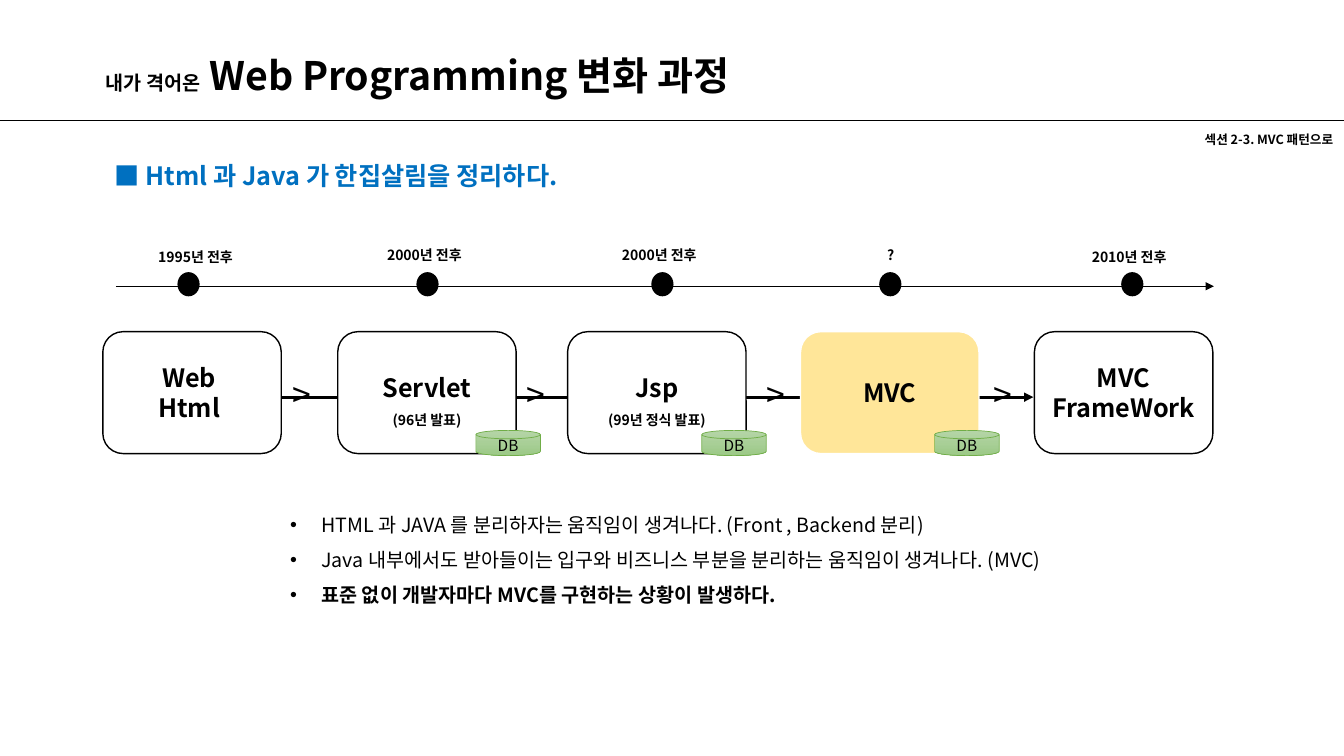
from lxml import etree
from pptx import Presentation
from pptx.dml.color import RGBColor
from pptx.enum.shapes import MSO_CONNECTOR, MSO_SHAPE
from pptx.enum.text import MSO_ANCHOR, MSO_AUTO_SIZE, PP_ALIGN
from pptx.oxml.ns import qn
from pptx.util import Inches, Pt

STRAIGHT = MSO_CONNECTOR.STRAIGHT
ROUND = MSO_SHAPE.ROUNDED_RECTANGLE
RECT = MSO_SHAPE.RECTANGLE
OVAL = MSO_SHAPE.OVAL
DISK = MSO_SHAPE.FLOWCHART_MAGNETIC_DISK
MIDDLE = MSO_ANCHOR.MIDDLE
GROW = MSO_AUTO_SIZE.SHAPE_TO_FIT_TEXT
CENTER, RIGHT = PP_ALIGN.CENTER, PP_ALIGN.RIGHT

BLACK = RGBColor(0, 0, 0)
WHITE = RGBColor(255, 255, 255)
BLUE = RGBColor(0x00, 0x70, 0xC0)
YELLOW = RGBColor(0xFF, 0xE6, 0x99)
GREEN = RGBColor(0x70, 0xAD, 0x47)
LIGHT = RGBColor(0xB5, 0xD5, 0xA7)
DARK = RGBColor(0x9C, 0xC9, 0x87)

FONT = "Noto Sans CJK KR"
BOX_TOP, BOX_W, BOX_H = 3.29, 1.77, 1.21
DOT_W, DOT_H = 0.22, 0.24

STAGES = [
    (1.02, [[("Web ", 18)], [("Html ", 18)]], None, WHITE, BLACK),
    (3.35, [[("Servlet\v", 18), ("(96년 발표)", 10)]], 1.5, WHITE, BLACK),
    (5.63, [[("Jsp", 18)], [("(99년 정식 발표)", 10)]], 1.5, WHITE, BLACK),
    (7.94, [[("MVC", 18)]], None, YELLOW, WHITE),
    (10.26, [[("MVC", 18)], [("FrameWork", 18)]], None, WHITE, BLACK),
]
DATES = [
    (1.76, 1.47, 2.42, 0.99, "1995년 전후"),
    (4.13, 3.74, 2.4, 0.99, "2000년 전후"),
    (6.46, 6.07, 2.4, 0.99, "2000년 전후"),
    (8.72, 8.7, 2.4, 0.27, "?"),
    (11.12, 10.73, 2.42, 0.99, "2010년 전후"),
]
NOTES = [
    ("HTML 과 JAVA 를 분리하자는 움직임이 생겨나다. (Front , Backend 분리)", False),
    ("Java 내부에서도 받아들이는 입구와 비즈니스 부분을 분리하는 움직임이 생겨나다. (MVC)", False),
    ("표준 없이 개발자마다 MVC를 구현하는 상황이 발생하다.", True),
]


def apply(target, values):
    for name, value in values.items():
        setattr(target, name, value)


def add_run(para, text, size, color=BLACK, bold=True):
    first, *rest = text.split("\v")
    run = para.add_run()
    run.text = first
    apply(run.font, {"size": Pt(size), "bold": bold, "name": FONT})
    run.font.color.rgb = color
    etree.SubElement(run.font._element, qn("a:ea"), typeface=FONT)
    if rest:
        para.add_line_break()


def add_paras(frame, paras, layout, color=BLACK, bold=True):
    for index, runs in enumerate(paras):
        para = frame.add_paragraph() if index else frame.paragraphs[0]
        apply(para, layout)
        for text, size in runs:
            add_run(para, text, size, color, bold)


def add_label(slide, at, runs, color=BLACK, bold=True):
    frame = slide.shapes.add_textbox(*map(Inches, at)).text_frame
    apply(frame, {"word_wrap": False, "auto_size": GROW})
    add_paras(frame, [runs], {}, color, bold)
    return frame


def add_line(slide, start, end, width, arrow=False):
    line = slide.shapes.add_connector(STRAIGHT, *map(Inches, start + end))
    line.line.color.rgb = BLACK
    line.line.width = Pt(width)
    if arrow:
        etree.SubElement(line.line._get_or_add_ln(), qn("a:tailEnd"), type="triangle")
    etree.SubElement(line._element.spPr, qn("a:effectLst"))


def add_form(slide, kind, at, fill=None, edge=None, width=1):
    form = slide.shapes.add_shape(kind, *map(Inches, at))
    form.shadow.inherit = False
    if fill is None:
        form.fill.background()
    else:
        form.fill.solid()
        form.fill.fore_color.rgb = fill
    if edge is None:
        form.line.fill.background()
    else:
        form.line.color.rgb = edge
        form.line.width = Pt(width)
    apply(form.text_frame, {"word_wrap": True, "vertical_anchor": MIDDLE})
    return form


def add_stage(slide, left, paras, space, fill, edge):
    box = add_form(slide, ROUND, (left, BOX_TOP, BOX_W, BOX_H), fill, edge)
    add_paras(box.text_frame, paras, {"alignment": CENTER, "line_spacing": space})


def add_date(slide, dot, left, top, width, text):
    add_form(slide, OVAL, (dot, 2.7, DOT_W, DOT_H), BLACK)
    add_label(slide, (left, top, width, 0.27), [(text, 10)])


def add_disk(slide, left):
    disk = add_form(slide, DISK, (left, 4.27, 0.64, 0.25), LIGHT, GREEN, 0.5)
    disk.fill.gradient()
    disk.fill.gradient_angle = 270
    for stop, color in zip(disk.fill.gradient_stops, (LIGHT, DARK)):
        stop.color.rgb = color
    add_paras(disk.text_frame, [[("DB", 11)]], {"alignment": CENTER}, bold=False)


def add_notes(slide):
    frame = slide.shapes.add_textbox(*map(Inches, (2.78, 4.92, 8.37, 1.16))).text_frame
    apply(frame, {"word_wrap": False, "auto_size": GROW})
    for index, (text, bold) in enumerate(NOTES):
        para = frame.add_paragraph() if index else frame.paragraphs[0]
        para.line_spacing = 1.5
        props = para._p.get_or_add_pPr()
        props.set("marL", str(Inches(0.31)))
        props.set("indent", str(-Inches(0.31)))
        etree.SubElement(props, qn("a:buFont"), typeface="Arial")
        etree.SubElement(props, qn("a:buChar"), char="•")
        add_run(para, text, 14, bold=bold)


def main():
    deck = Presentation()
    apply(deck, {"slide_width": Inches(13.33), "slide_height": Inches(7.5)})
    slide = deck.slides.add_slide(deck.slide_layouts[6])

    add_line(slide, (0, 1.19), (13.33, 1.19), 0.5)
    add_label(slide, (0.95, 0.46, 6.94, 0.57),
              [("내가 격어온", 14), (" Web Programming 변화 과정", 28)])
    add_notes(slide)
    add_label(slide, (1.04, 1.54, 4.94, 0.4),
              [("■ Html 과 Java 가 한집살림을 정리하다.", 18)], BLUE)

    add_line(slide, (2.75, 3.94), (10.25, 3.94), 2.25, True)
    for stage in STAGES:
        add_stage(slide, *stage)
    for left in (2.8, 5.12, 7.5, 9.76):
        add_label(slide, (left, 3.66, 0.44, 0.5), [(">", 24)], bold=False)

    add_line(slide, (1.15, 2.84), (12.04, 2.84), 0.5, True)
    for date in DATES:
        add_date(slide, *date)

    section = add_form(slide, RECT, (9.9, 1.22, 3.42, 0.33), edge=WHITE)
    add_paras(section.text_frame, [[("섹션 2-3. MVC 패턴으로", 9)]], {"alignment": RIGHT})
    for left in (4.72, 6.96, 9.27):
        add_disk(slide, left)

    deck.save("out.pptx")


if __name__ == "__main__":
    main()
